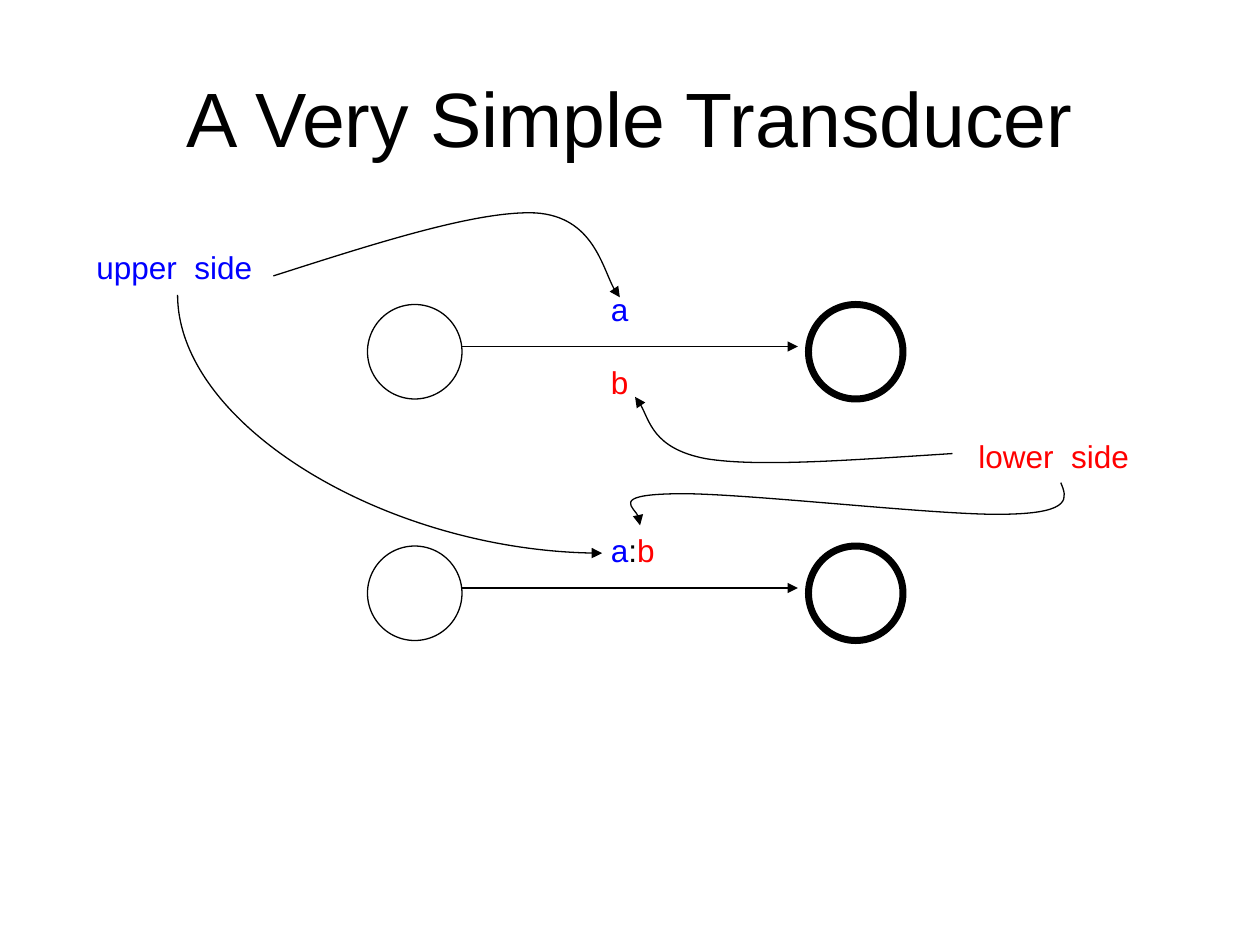
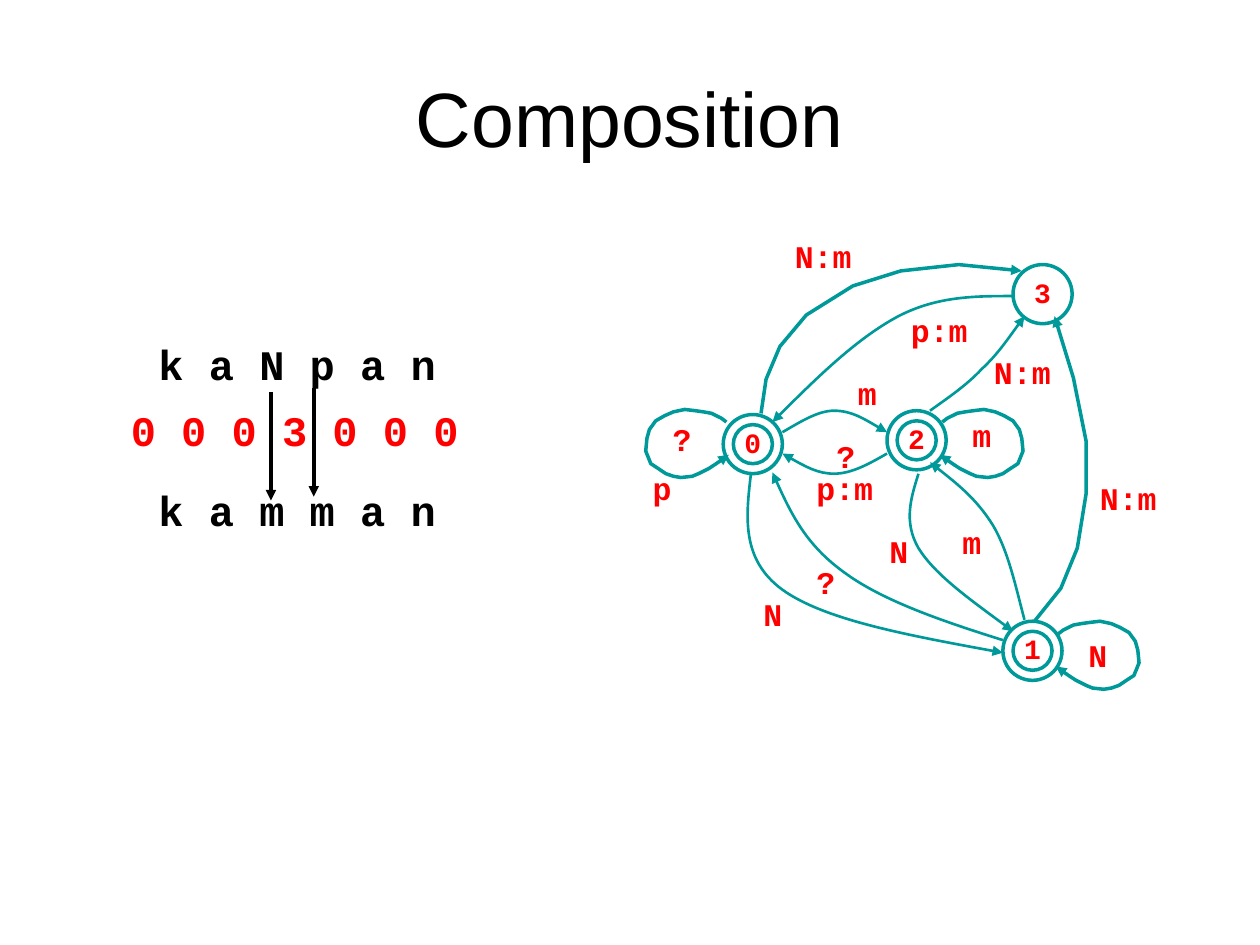
from lxml.etree import SubElement
from pptx import Presentation
from pptx.dml.color import RGBColor
from pptx.enum.shapes import MSO_CONNECTOR, MSO_SHAPE
from pptx.enum.text import MSO_ANCHOR, PP_ALIGN
from pptx.oxml.ns import qn
from pptx.util import Pt

HUES = {"black": "000000", "blue": "0000FF", "red": "FF0000", "teal": "009999"}
SANS, MONO = "Arial", "Courier New"
RING, INSET = 33.8, 5.75

LOOP = [(1.4, 7.2), (4.3, 5), (10, 2.2), (14.4, 1.4), (19.4, 0.7), (25.2, 0),
        (31.7, 1.4), (36.7, 3.6), (41.8, 6.5), (45.4, 11.5), (46.8, 16.6),
        (47.5, 23.8), (44.6, 31), (40.3, 33.8), (36, 36.7), (31.7, 38.2),
        (27.4, 38.9), (20.9, 38.2), (17.3, 36.7), (11.5, 33.8), (7.2, 31), (0, 25.9)]

SIDES = [
    [(156.2, 157.7), (214.6, 139), (272.9, 120.2), (306, 121.7),
     (339.1, 123.8), (346.3, 162), (354.2, 169.9)],
    [(544.3, 259.2), (487.4, 262.8), (433.4, 267.1), (403.2, 262.1),
     (373, 256.3), (369.4, 233.3), (362.9, 226.8)],
    [(606.2, 275.8), (609.8, 284.4), (612.7, 293), (576, 293.8), (539.3, 295.2),
     (419, 280.8), (383.8, 282.2), (349.2, 283), (369.4, 296.6), (365.8, 300.2)],
]

ARCS = [
    [(447.1, 247), (457.2, 241.2), (467.3, 234.7), (476.6, 234.7),
     (486.7, 234.7), (496.8, 241.2), (506.9, 247)],
    [(506.9, 259.2), (496.8, 265), (486.7, 270.7), (476.6, 270.7),
     (467.3, 270.7), (457.2, 265), (447.1, 259.2)],
    [(578.9, 169.2), (557.3, 169.2), (535.7, 169.2), (513.4, 180.7),
     (490.3, 193), (465.8, 216.7), (441.4, 241.2)],
    [(429.1, 270.7), (426.2, 295.2), (423.4, 319.7), (447.1, 337),
     (470.9, 354.2), (522, 363.6), (573.1, 373)],
    [(573.1, 365.8), (538.6, 355), (504.7, 343.4), (483.1, 327.6),
     (460.8, 311.8), (450.7, 290.9), (441.4, 270)],
    [(524.9, 270.7), (520.6, 284.4), (516.2, 298.1), (524.9, 313.2),
     (534.2, 328.3), (556.6, 344.2), (578.9, 360.7)],
    [(585.4, 354.2), (580.3, 334.8), (576, 314.6), (567.4, 300.2),
     (558, 285.1), (544.3, 274.3), (531.4, 264.2)],
    [(531.4, 234.7), (541.4, 227.5), (552.2, 220.3), (560.9, 211),
     (570.2, 202.3), (577.4, 191.5), (585.4, 180.7)],
]

BENDS = [
    [(434.9, 236.2), (437.8, 216.7), (445.7, 198), (460.8, 180),
     (487.4, 163.4), (514.8, 154.8), (547.9, 151.2), (583.9, 154.8)],
    [(591.1, 355), (606.2, 336.2), (615.6, 313.2), (620.6, 282.2),
     (620.6, 252), (613.4, 216), (602.6, 180.7)],
]

LABELS = {
    "N:m": [(447.1, 131.8), (621.4, 270), (560.9, 198)],
    "p:m": [(459.4, 264.2), (513.4, 174.2)],
    "N": [(429.1, 336.2), (614.9, 360), (501.1, 300.2)],
    "m": [(483.1, 210.2), (548.6, 234), (542.9, 295.2)],
    "?": [(470.9, 246.2), (377.3, 236.2), (459.4, 318.2)],
    "p": [(365.8, 264.2)],
}


def tint(hue):
    """Return the named colour."""
    return RGBColor.from_string(HUES[hue])


def text(shapes, lines, x, y, w, h, size=18, face=SANS, hue="black", bold=False,
         align=PP_ALIGN.LEFT, anchor=MSO_ANCHOR.TOP, gap=0):
    """Add a text box; a line is a string or a list of (words, hue, spread) runs."""
    frame = shapes.add_textbox(Pt(x), Pt(y), Pt(w), Pt(h)).text_frame
    frame.word_wrap = True
    frame.vertical_anchor = anchor
    for i, line in enumerate([lines] if isinstance(lines, str) else lines):
        para = frame.add_paragraph() if i else frame.paragraphs[0]
        para.alignment = align
        if i:
            para.space_before = Pt(gap)
        for words, shade, spread in [(line, hue, 0)] if isinstance(line, str) else line:
            run = para.add_run()
            run.text = words
            font = run.font
            font.size, font.name, font.bold = Pt(size), face, bold
            font.color.rgb = tint(shade)
            if spread:
                run._r.get_or_add_rPr().set("spc", str(spread * 100))


def ink(shape, hue, width, tip=True):
    """Set the line of a shape, with an arrowhead if wanted."""
    shape.line.color.rgb = tint(hue)
    shape.line.width = Pt(width)
    if tip:
        SubElement(shape.line._get_or_add_ln(), qn("a:tailEnd"), type="triangle")


def ring(shapes, x, y, size, hue, width):
    """Add a hollow circle."""
    shape = shapes.add_shape(MSO_SHAPE.OVAL, Pt(x), Pt(y), Pt(size), Pt(size))
    shape.shadow.inherit = False
    shape.fill.background()
    ink(shape, hue, width, tip=False)


def arrow(shapes, start, end, width, kind=MSO_CONNECTOR.STRAIGHT):
    """Add a black connector with an arrowhead."""
    link = shapes.add_connector(kind, *map(Pt, start + end))
    ink(link, "black", width)
    SubElement(link._element.spPr, qn("a:effectLst"))
    return link


def trail(shapes, spots, hue, width, smooth=True):
    """Add an open arrow through points, or along Bezier curves if smooth."""
    spots = [(Pt(x), Pt(y)) for x, y in spots]
    maker = shapes.build_freeform(*spots[0])
    maker.add_line_segments(spots[1:], close=False)
    shape = maker.convert_to_shape()
    shape.shadow.inherit = False
    shape.fill.background()
    ink(shape, hue, width)
    if smooth:
        track = next(shape._element.iter(qn("a:path")))
        legs = track.findall(qn("a:lnTo"))
        for i in range(0, len(legs), 3):
            curve = SubElement(track, qn("a:cubicBezTo"))
            for leg in legs[i:i + 3]:
                curve.append(leg[0])
                track.remove(leg)


def loop(shapes, x, y, side=1):
    """Add a loop on the right (1) or left (-1) of a state."""
    trail(shapes, [(x + side * dx, y + dy) for dx, dy in LOOP], "teal", 2, smooth=False)


def state(shapes, name, x, y, final=True):
    """Add a numbered state as a group, with a double ring if final."""
    group = shapes.add_group_shape().shapes
    ring(group, x, y, RING, "teal", 2)
    if final:
        ring(group, x + INSET, y + INSET, RING - 2 * INSET, "teal", 2)
    text(group, name, x, y + 2.5, RING, 26, size=16, face=MONO, hue="red",
         bold=True, align=PP_ALIGN.CENTER)


def page(deck, title):
    """Add a blank slide with a title and return its shapes."""
    shapes = deck.slides.add_slide(deck.slide_layouts[6]).shapes
    text(shapes, title, 36, 21.6, 648, 90, size=44,
         align=PP_ALIGN.CENTER, anchor=MSO_ANCHOR.MIDDLE)
    return shapes


def simple(deck):
    """Build the slide on the simple transducer."""
    shapes = page(deck, "A Very Simple Transducer")
    for y in (174, 312):
        ring(shapes, 210, y, 54, "black", 0.75)
        ring(shapes, 462, y, 54, "black", 4)
        arrow(shapes, (264, y + 24), (456, y + 24), 0.75)
    text(shapes, "a", 342, 162, 30, 29, hue="blue")
    text(shapes, "b", 342, 204, 30, 29, hue="red")
    text(shapes, [[("a", "blue", 0), (":", "black", 0), ("b", "red", 0)]], 342, 300, 45, 29)
    for word, hue, x, y in (("upper", "blue", 48, 138), ("lower", "red", 552, 246)):
        text(shapes, [[(word, hue, 0), (" ", hue, 5), ("side", hue, 0)]], x, y, 110, 29)
    link = arrow(shapes, (296.6, 121), (149, 363.6), 0.75, MSO_CONNECTOR.CURVE)
    shape = link._element.spPr
    shape.find(qn("a:xfrm")).set("rot", str(270 * 60000))
    shape.find(qn("a:prstGeom")).set("prst", "curvedConnector2")
    for spots in SIDES:
        trail(shapes, spots, "black", 0.75)


def compose(deck):
    """Build the slide on composition."""
    shapes = page(deck, "Composition")
    state(shapes, "0", 413.3, 236.9)
    state(shapes, "1", 573.1, 355)
    state(shapes, "2", 506.9, 234.7)
    state(shapes, "3", 578.9, 151.2, final=False)
    loop(shapes, 416.5, 234, side=-1)
    loop(shapes, 537.1, 234)
    loop(shapes, 603.4, 355)
    for spots in ARCS:
        trail(shapes, spots, "teal", 1.5)
    for spots in BENDS:
        trail(shapes, spots, "teal", 2, smooth=False)
    for name, spots in LABELS.items():
        for x, y in spots:
            text(shapes, name, x, y, 15 + 11 * len(name), 29, face=MONO, hue="red", bold=True)
    text(shapes, ["k a N p a n", "k a m m a n"], 83.5, 190, 180, 122,
         size=24, face=MONO, bold=True, gap=54.4)
    text(shapes, "0 0 0 3 0 0 0", 67.7, 227.5, 216, 36, size=24, face=MONO, hue="red", bold=True)
    for x, y in ((154.8, 224), (179.3, 221.8)):
        arrow(shapes, (x, y), (x, y + 62), 2)


def main():
    """Build and save the deck."""
    deck = Presentation()
    deck.slide_width, deck.slide_height = Pt(720), Pt(540)
    simple(deck)
    compose(deck)
    deck.save("out.pptx")


if __name__ == "__main__":
    main()
